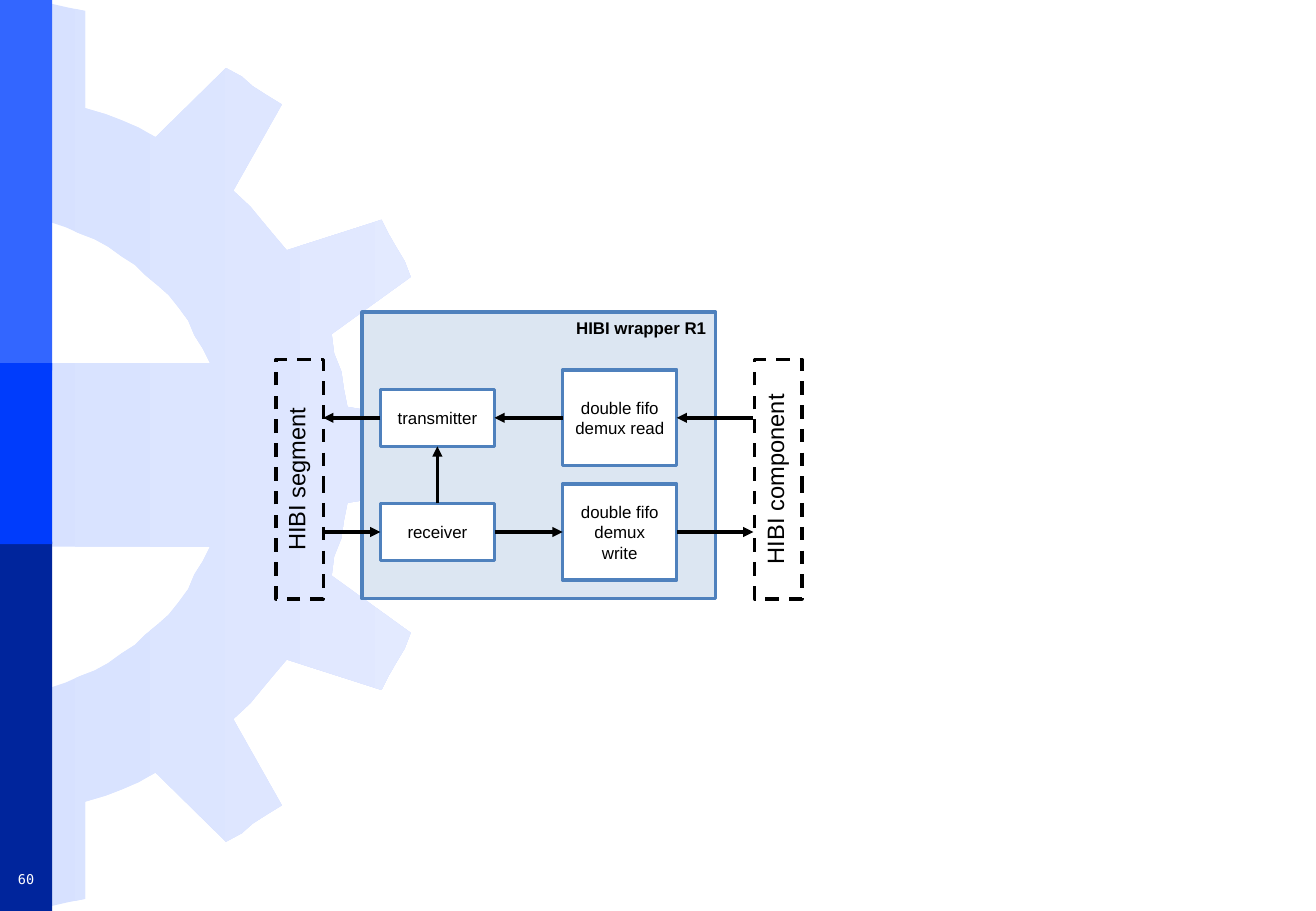
from dataclasses import dataclass

from pptx import Presentation
from pptx.dml.color import RGBColor
from pptx.enum.dml import MSO_LINE
from pptx.enum.shapes import MSO_CONNECTOR, MSO_SHAPE
from pptx.enum.text import MSO_ANCHOR, PP_ALIGN
from pptx.oxml.ns import qn
from pptx.util import Inches, Pt
from lxml.etree import SubElement


@dataclass(frozen=True)
class Theme:
    """Colours, fonts and sizes of the slide."""
    sky: str = "3366FF"
    blue: str = "003CFC"
    navy: str = "00259C"
    gear_left: str = "D7E1FF"
    gear_right: str = "E3EAFF"
    wrapper: str = "DCE6F2"
    border: str = "4F81BD"
    black: str = "000000"
    white: str = "FFFFFF"
    font: str = "Arial"
    mono: str = "DejaVu Sans Mono"
    number: int = 8
    label: int = 10
    side: int = 14
    stroke: int = 2


GEAR_HEIGHT = 7.49
GEAR_TOP_HALF = [
    (3.7, 3.73), (3.7, 3.62), (3.67, 3.48), (2.86, 3.35), (2.83, 3.2),
    (2.81, 3.06), (2.75, 2.91), (2.73, 2.75), (3.38, 2.28), (3.33, 2.15),
    (3.27, 2.05), (3.2, 1.93), (3.14, 1.81), (2.36, 2.06), (2.25, 1.93),
    (2.15, 1.81), (2.06, 1.7), (1.92, 1.57), (2.32, 0.86), (2.19, 0.78),
    (2.08, 0.71), (1.99, 0.63), (1.86, 0.56), (1.28, 1.13), (1.14, 1.05),
    (1, 0.99), (0.87, 0.94), (0.7, 0.89), (0.7, 0.09), (0.55, 0.06),
    (0.42, 0.03), (0.29, 0.02), (0.14, 0), (0.14, 1.77), (0.28, 1.81),
    (0.42, 1.83), (0.54, 1.87), (0.65, 1.92), (0.78, 1.97), (0.89, 2.03),
    (1, 2.11), (1.11, 2.18), (1.19, 2.26), (1.3, 2.35), (1.39, 2.43),
    (1.47, 2.53), (1.55, 2.64), (1.6, 2.76), (1.67, 2.87), (1.73, 2.99),
    (0, 2.99),
]

BANDS = [(0, 3.05, "sky"), (4.46, 3.04, "navy"), (2.99, 1.49, "blue")]
READ_LANE, WRITE_LANE = 3.44, 4.38
LEFT_COLUMN, RIGHT_COLUMN, BLOCK_WIDTH = 3.13, 4.63, 0.94
LEFT_END, RIGHT_END = LEFT_COLUMN + BLOCK_WIDTH, RIGHT_COLUMN + BLOCK_WIDTH
SEGMENT_EDGE, COMPONENT_EDGE = 2.66, 6.2
SHORT, TALL = 0.47, 0.79
BLOCKS = [
    ("transmitter", LEFT_COLUMN, READ_LANE, SHORT),
    ("receiver", LEFT_COLUMN, WRITE_LANE, SHORT),
    ("double fifo demux read", RIGHT_COLUMN, READ_LANE, TALL),
    ("double fifo demux write", RIGHT_COLUMN, WRITE_LANE, TALL),
]
GAPS = [(SEGMENT_EDGE, LEFT_COLUMN), (LEFT_END, RIGHT_COLUMN), (RIGHT_END, COMPONENT_EDGE)]
SIDES = [("HIBI segment", 1.48), ("HIBI component", 5.42)]


class Painter:
    """Draws styled elements on the current slide."""

    def __init__(self, page, theme):
        self.page = page
        self.theme = theme

    def color(self, name):
        """Look up a theme colour."""
        return RGBColor.from_string(getattr(self.theme, name))

    def caption(self, box, text, size, color="black", font=None, bold=False,
                align=PP_ALIGN.CENTER, anchor=MSO_ANCHOR.MIDDLE, wrap=True):
        """Set and format the text of a box."""
        frame = box.text_frame
        frame.text = text
        frame.word_wrap = wrap
        frame.vertical_anchor = anchor
        para = frame.paragraphs[0]
        para.alignment = align
        span = para.runs[0].font
        span.name = font or self.theme.font
        span.size = Pt(size)
        span.bold = bold
        span.color.rgb = self.color(color)

    def rectangle(self, left, top, width, height, fill=None, line=None):
        """Add a rectangle with optional fill and border."""
        box = self.page.shapes.add_shape(
            MSO_SHAPE.RECTANGLE, Inches(left), Inches(top), Inches(width), Inches(height))
        box.shadow.inherit = False
        if fill:
            box.fill.solid()
            box.fill.fore_color.rgb = self.color(fill)
        else:
            box.fill.background()
        if line:
            box.line.color.rgb = self.color(line)
            box.line.width = Pt(self.theme.stroke)
        else:
            box.line.fill.background()
        return box

    def label(self, text, left, top, width, height, size, **style):
        """Add a text box."""
        box = self.page.shapes.add_textbox(
            Inches(left), Inches(top), Inches(width), Inches(height))
        self.caption(box, text, size, **style)
        return box

    def block(self, text, left, middle, height):
        """Add a labelled block centred on its lane."""
        box = self.rectangle(left, middle - height / 2, BLOCK_WIDTH, height, "white", "border")
        self.caption(box, text, self.theme.label)

    def side(self, text, left):
        """Add a dashed box turned to read upwards."""
        box = self.rectangle(left, 3.75, 1.97, 0.39, line="black")
        box.line.dash_style = MSO_LINE.DASH
        box.rotation = 270
        self.caption(box, text, self.theme.side, anchor=MSO_ANCHOR.TOP, wrap=False)

    def arrow(self, start, end):
        """Add an arrow between two points."""
        link = self.page.shapes.add_connector(
            MSO_CONNECTOR.STRAIGHT, *(Inches(value) for value in (*start, *end)))
        link.line.color.rgb = self.color("black")
        link.line.width = Pt(self.theme.stroke)
        properties = link._element.spPr
        SubElement(properties.find(qn("a:ln")), qn("a:tailEnd"), type="triangle")
        SubElement(properties, qn("a:effectLst"))

    def gear(self):
        """Add the half gear, its lower part mirrored from the upper."""
        mirrored = [(x, GEAR_HEIGHT - y) for x, y in reversed(GEAR_TOP_HALF)]
        points = [(Inches(x), Inches(y)) for x, y in GEAR_TOP_HALF + mirrored]
        builder = self.page.shapes.build_freeform(*points[0])
        builder.add_line_segments(points[1:], close=True)
        shape = builder.convert_to_shape()
        shape.shadow.inherit = False
        shape.line.fill.background()
        shape.fill.gradient()
        shape.fill.gradient_angle = 0
        for stop, name, position in zip(
                shape.fill.gradient_stops, ("gear_left", "gear_right"), (0, 1)):
            stop.color.rgb = self.color(name)
            stop.position = position


def main():
    """Build and save the slide."""
    deck = Presentation()
    deck.slide_width, deck.slide_height = Inches(10.83), Inches(7.5)
    theme = Theme()
    painter = Painter(deck.slides.add_slide(deck.slide_layouts[6]), theme)

    painter.gear()
    for top, height, fill in BANDS:
        painter.rectangle(0, top, 0.43, height, fill)
    painter.label("60", 0, 7.11, 0.43, 0.26, theme.number,
                  color="white", font=theme.mono, wrap=False)

    painter.rectangle(2.98, 2.57, 2.91, 2.36, "wrapper", "border")
    title = painter.label("HIBI wrapper R1", 3.18, 2.57, 2.71, 0.26, theme.label,
                          bold=True, align=PP_ALIGN.RIGHT)
    title.text_frame.margin_left = title.text_frame.margin_right = Inches(0.08)
    title.text_frame.margin_top = title.text_frame.margin_bottom = Inches(0.04)

    for block in BLOCKS:
        painter.block(*block)
    for text, left in SIDES:
        painter.side(text, left)
    for left, right in GAPS:
        painter.arrow((right, READ_LANE), (left, READ_LANE))
        painter.arrow((left, WRITE_LANE), (right, WRITE_LANE))
    center = LEFT_COLUMN + BLOCK_WIDTH / 2
    painter.arrow((center, WRITE_LANE - SHORT / 2), (center, READ_LANE + SHORT / 2))

    deck.save("out.pptx")


if __name__ == "__main__":
    main()
